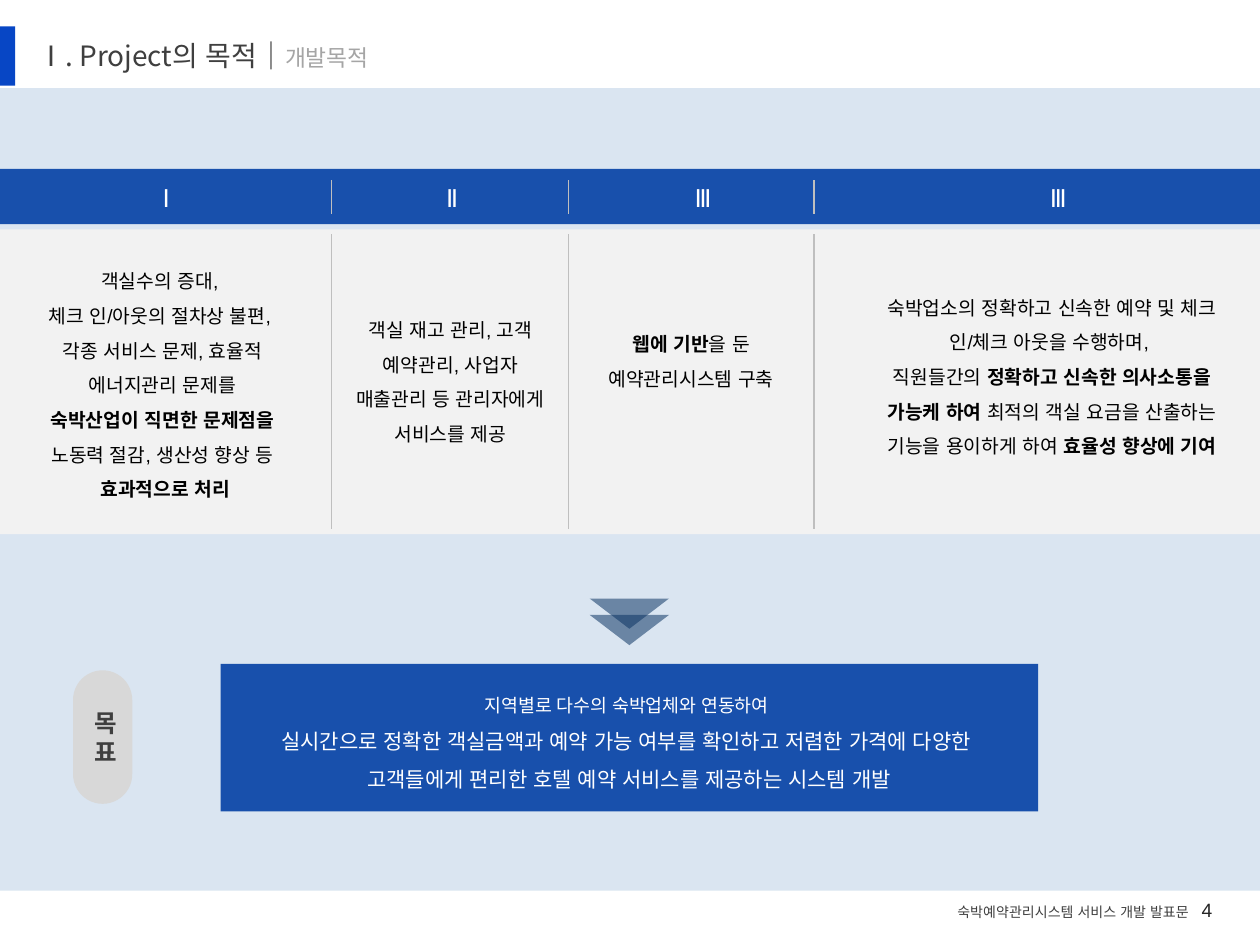
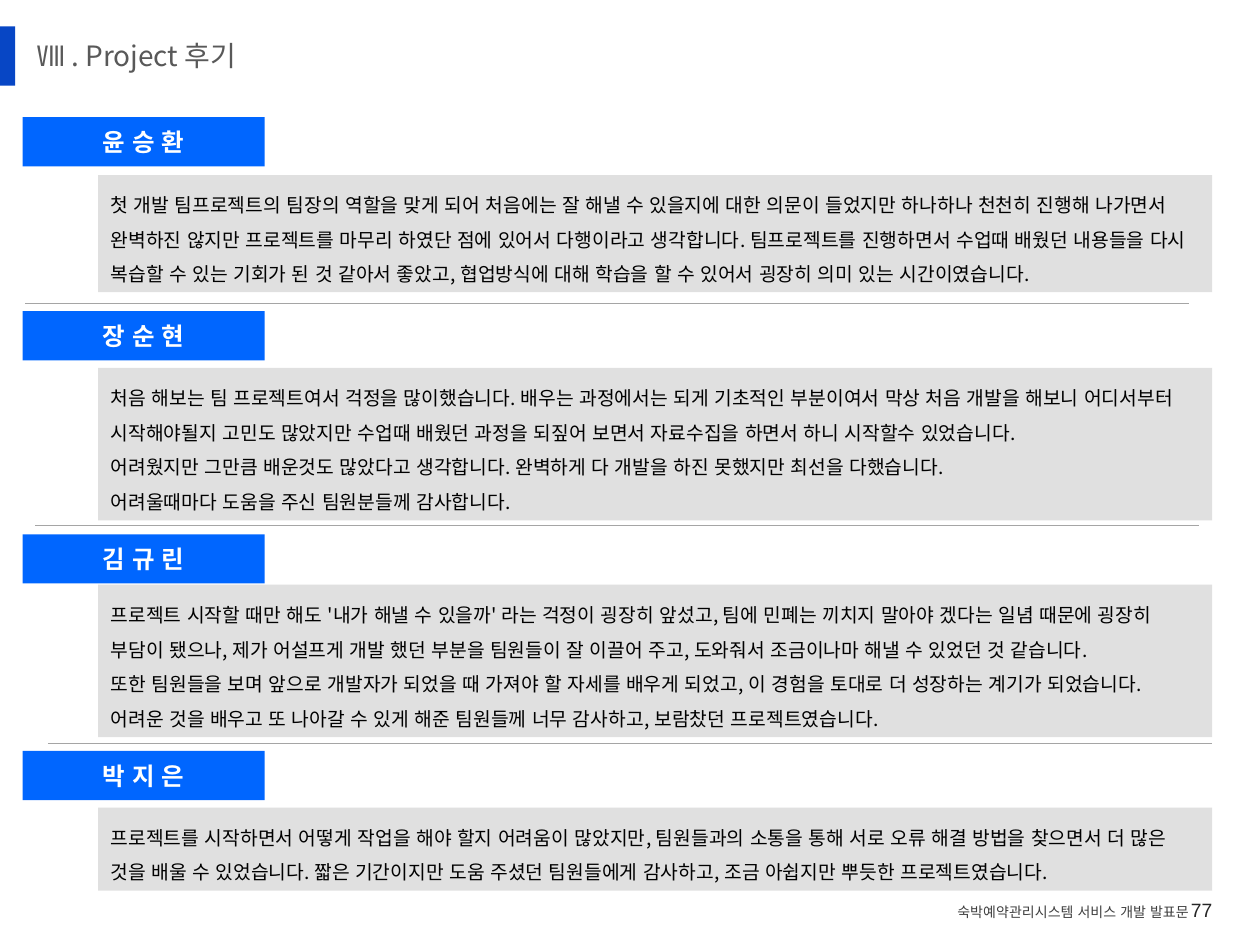
from lxml import etree
from pptx import Presentation
from pptx import util as u
from pptx.dml.color import RGBColor
from pptx.enum import shapes, text
from pptx.enum.lang import MSO_LANGUAGE_ID
from pptx.oxml.ns import qn

NOTO, ARIAL = "Noto Sans CJK KR", "Arial"
WHITE, BLACK, DARK, GRAY = "FFFFFF", "000000", "3F3F3F", "A5A5A5"
NAVY, BLUE = "1850AC", "0066FF"
MID, LEFT, RIGHT = text.PP_ALIGN.CENTER, text.PP_ALIGN.LEFT, text.PP_ALIGN.RIGHT
RECT = shapes.MSO_SHAPE.RECTANGLE


def color(code):
    return RGBColor.from_string(code)


class Deck:
    def __init__(self):
        self.prs = Presentation()
        self.prs.slide_width = u.Inches(10)
        self.prs.slide_height = u.Inches(7.5)
        self.slide = None

    def page(self, num):
        """Start a slide with the shared corner tab and footer."""
        self.slide = self.prs.slides.add_slide(self.prs.slide_layouts[6])
        self.box((0, 0.21, 0.12, 0.47), "0746C5")
        self.label((9.3, 7.02, 0.42, 0.4), [[(num, {"tint": "262626"})]],
                   size=11, font=ARIAL, align=RIGHT, mid=True)
        self.label((7.5, 7.12, 2.1, 0.24),
                   [[("숙박예약관리시스템 서비스 개발 발표문", {})]], size=8)

    def title(self, *runs):
        self.label((0.2, 0.26, 3.97, 0.37), [runs], size=16)

    def box(self, at, fill, kind=RECT, alpha=None, turn=0):
        shape = self.slide.shapes.add_shape(kind, *map(u.Inches, at))
        shape.shadow.inherit = False
        shape.fill.solid()
        shape.fill.fore_color.rgb = color(fill)
        shape.line.fill.background()
        shape.rotation = turn
        if alpha:
            tone = shape._element.spPr.find(".//" + qn("a:srgbClr"))
            etree.SubElement(tone, qn("a:alpha")).set("val", str(alpha * 1000))
        return shape

    def label(self, at, paras, **style):
        shape = self.slide.shapes.add_textbox(*map(u.Inches, at))
        self.put(shape, paras, **style)

    def put(self, shape, paras, size=11, font=NOTO, tint=DARK, bold=False,
            align=LEFT, mid=False, gap=1.0):
        """Fill a shape; each paragraph is a list of (words, changes) runs."""
        frame = shape.text_frame
        frame.word_wrap = True
        frame.vertical_anchor = (text.MSO_ANCHOR.MIDDLE if mid
                                 else text.MSO_ANCHOR.TOP)
        for i, runs in enumerate(paras):
            para = frame.add_paragraph() if i else frame.paragraphs[0]
            para.alignment = align
            big = max(look.get("size", size) for _, look in runs)
            para.line_spacing = u.Pt(round(big * 1.2 * gap, 1))
            for words, look in runs:
                base = {"size": size, "font": font, "tint": tint, "bold": bold}
                for j, part in enumerate(words.split("\n")):
                    if j:
                        para.add_line_break()
                    self.add(para, part, **{**base, **look})

    def add(self, para, words, size, font, tint, bold):
        run = para.add_run()
        run.text = words
        face = run.font
        face.size, face.bold, face.name = u.Pt(size), bold, font
        face.color.rgb = color(tint)
        face.language_id = MSO_LANGUAGE_ID.KOREAN
        east = etree.Element(qn("a:ea"), typeface=NOTO)
        run._r.rPr.find(qn("a:latin")).addnext(east)

    def line(self, x1, y1, x2, y2, tint):
        link = self.slide.shapes.add_connector(
            shapes.MSO_CONNECTOR.STRAIGHT, *map(u.Inches, (x1, y1, x2, y2)))
        link.line.color.rgb = color(tint)
        link.line.width = u.Pt(0.75)
        etree.SubElement(link._element.spPr, qn("a:effectLst"))


def goals(deck):
    deck.page("4")
    deck.box((0, 0.7, 10, 6.37), "DAE5F1")
    deck.title(("Ⅰ. Project의 목적｜", {}), ("개발목적", {"size": 13, "tint": GRAY}))

    # Column bands and dividers
    deck.box((0, 1.34, 10, 0.44), NAVY)
    deck.box((0, 1.82, 10, 2.42), "F2F2F2")
    for x in (2.63, 4.51, 6.46):
        for top, end in ((1.43, 1.7), (1.86, 4.2)):
            deck.line(x, top, x, end, "BFBFBF")

    # Column heads and texts
    bold = {"bold": True}
    cols = [
        ("Ⅰ", 1.32, (0.12, 1.99, 2.34, 2.04), [
            [("객실수의 증대, ", {})],
            [("체크 인/아웃의 절차상 불편, ", {})],
            [("각종 서비스 문제, 효율적 에너지관리 문제를", {})],
            [("숙박산업이 직면한 문제점을", bold)],
            [("노동력 절감, 생산성 향상 등", {})],
            [(" 효과적으로 처리", bold)]]),
        ("Ⅱ", 3.59, (2.68, 2.38, 1.79, 1.21), [
            [("객실 재고 관리, 고객 예약관리, 사업자 매출관리 등 관리자에게", {})],
            [("서비스를 제공", {})]]),
        ("Ⅲ", 5.58, (4.58, 2.49, 1.81, 0.66), [
            [("웹에 기반", bold), ("을 둔 예약관리시스템 구축", {})]]),
        ("Ⅲ", 8.4, (6.82, 2.2, 3.06, 1.49), [
            [("숙박업소의 정확하고 신속한 예약 및 체크인/체크 아웃을 수행하며, ", {})],
            [("직원들간의 ", {}),
             ("정확하고 신속한 의사소통을 가능케 하여 ", bold),
             ("최적의 객실 요금을 산출하는 기능을 용이하게 하여 ", {}),
             ("효율성 향상에 기여", bold)]]),
    ]
    for head, x, at, paras in cols:
        deck.label((x - 0.33, 1.4, 0.66, 0.34), [[(head, {})]],
                   size=14, font=ARIAL, tint=WHITE, align=MID)
        deck.label(at, paras, font=ARIAL, tint=BLACK, align=MID,
                   mid=True, gap=1.5)

    # Double arrow down to the goal
    for y in (4.88, 4.75):
        deck.box((4.68, y, 0.63, 0.24), "083060",
                 shapes.MSO_SHAPE.ISOSCELES_TRIANGLE, alpha=53, turn=180)

    # Goal
    goal = deck.box((1.75, 5.27, 6.49, 1.17), NAVY)
    deck.put(goal, [
        [("지역별로 다수의 숙박업체와 연동하여 ", {"size": 10.5})],
        [("실시간으로 정확한 객실금액과 예약 가능 여부를 확인하고 저렴한 가격에 다양한 \n"
          "고객들에게 편리한 호텔 예약 서비스를 제공하는 시스템 개발", {})],
    ], size=12, tint=WHITE, align=MID, mid=True, gap=1.5)
    pill = deck.box((0.58, 5.32, 0.47, 1.06), "D8D8D8",
                    shapes.MSO_SHAPE.ROUNDED_RECTANGLE)
    pill.adjustments[0] = 0.5
    deck.put(pill, [[(c, {})] for c in "목표"], size=14, bold=True,
             align=MID, mid=True)


def reviews(deck):
    deck.page("77")
    deck.title(("Ⅷ . Project 후기", {"tint": "595959"}))

    # Name, name top, note top, note height, note paragraphs
    notes = [
        ("윤 승 환", 0.93, 1.39, 0.93, [
            "첫 개발 팀프로젝트의 팀장의 역할을 맞게 되어 처음에는 잘 해낼 수 있을지에 대한 "
            "의문이 들었지만 하나하나 천천히 진행해 나가면서 완벽하진 않지만 프로젝트를 "
            "마무리 하였단 점에 있어서 다행이라고 생각합니다. 팀프로젝트를 진행하면서 수업때 "
            "배웠던 내용들을 다시 복습할 수 있는 기회가 된 것 같아서 좋았고, 협업방식에 대해 "
            "학습을 할 수 있어서 굉장히 의미 있는 시간이였습니다."]),
        ("장 순 현", 2.47, 2.92, 1.21, [
            "처음 해보는 팀 프로젝트여서 걱정을 많이했습니다. 배우는 과정에서는 되게 기초적인 "
            "부분이여서 막상 처음 개발을 해보니 어디서부터 시작해야될지 고민도 많았지만 수업때 "
            "배웠던 과정을 되짚어 보면서 자료수집을 하면서 하니 시작할수 있었습니다.",
            "어려웠지만 그만큼 배운것도 많았다고 생각합니다. 완벽하게 다 개발을 하진 못했지만 "
            "최선을 다했습니다.",
            "어려울때마다 도움을 주신 팀원분들께 감사합니다."]),
        ("김 규 린", 4.24, 4.64, 1.21, [
            "프로젝트 시작할 때만 해도 '내가 해낼 수 있을까' 라는 걱정이 굉장히 앞섰고, 팀에 "
            "민폐는 끼치지 말아야 겠다는 일념 때문에 굉장히 부담이 됐으나, 제가 어설프게 개발 "
            "했던 부분을 팀원들이 잘 이끌어 주고, 도와줘서 조금이나마 해낼 수 있었던 것 같습니다.",
            "또한 팀원들을 보며 앞으로 개발자가 되었을 때 가져야 할 자세를 배우게 되었고, 이 "
            "경험을 토대로 더 성장하는 계기가 되었습니다.",
            "어려운 것을 배우고 또 나아갈 수 있게 해준 팀원들께 너무 감사하고, 보람찼던 "
            "프로젝트였습니다."]),
        ("박 지 은", 5.96, 6.41, 0.66, [
            "프로젝트를 시작하면서 어떻게 작업을 해야 할지 어려움이 많았지만, 팀원들과의 소통을 "
            "통해 서로 오류 해결 방법을 찾으면서 더 많은 것을 배울 수 있었습니다. 짧은 기간이지만 "
            "도움 주셨던 팀원들에게 감사하고, 조금 아쉽지만 뿌듯한 프로젝트였습니다."]),
    ]
    for name, top, y, high, paras in notes:
        tag = deck.box((0.18, top, 1.92, 0.39), BLUE)
        deck.put(tag, [[(name, {})]], size=14, tint=WHITE, bold=True,
                 align=MID, mid=True)
        note = deck.box((0.78, y, 8.84, high), "D9D9D9", alpha=80)
        deck.put(note, [[(p, {})] for p in paras], tint=BLACK,
                 mid=True, gap=1.5)

    # Rules between the reviews
    for x, y in ((0.2, 2.41), (0.28, 4.17), (0.38, 5.9)):
        deck.line(x, y, x + 9.24, y, GRAY)


def main():
    deck = Deck()
    goals(deck)
    reviews(deck)
    deck.prs.save("out.pptx")


if __name__ == "__main__":
    main()
